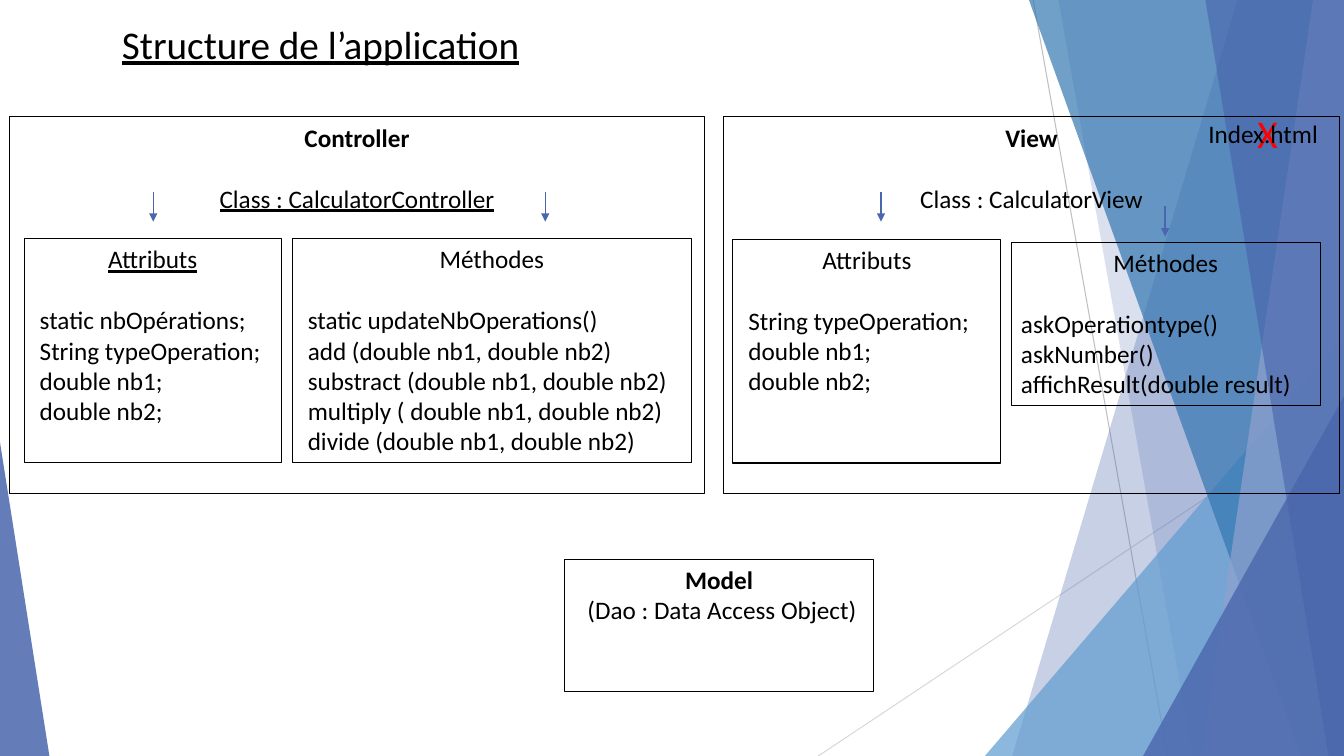
from dataclasses import dataclass
from lxml.etree import SubElement as Sub
from pptx import Presentation
from pptx.dml.color import RGBColor as Color
from pptx.enum.shapes import MSO_CONNECTOR as Link, MSO_SHAPE as Kind
from pptx.enum.text import MSO_ANCHOR as Anchor, MSO_AUTO_SIZE as Auto, PP_ALIGN as Align
from pptx.oxml.ns import qn
from pptx.util import Pt


@dataclass(frozen=True)
class Theme:
    font: str = "Calibri"
    head: int = 28
    body: int = 18
    gap: int = 22
    thin: float = 0.75
    black: str = "000000"
    red: str = "FF0000"
    blue: str = "4A66AC"
    sky: str = "629DD1"
    deep: str = "3477B2"
    pale: str = "90A2CF"
    gray: str = "BFBFBF"
    light: str = "D9D9D9"


T = Theme()
BASE = dict(name=T.font, size=Pt(T.body), bold=False, underline=False)
BOLD = dict(bold=True)
UNDER = dict(underline=True)
GAP = dict(alignment=Align.CENTER, space_after=Pt(T.gap))
MID = dict(alignment=Align.CENTER)
LEFT = dict(alignment=Align.LEFT)


def apply(target, values):
    for key, value in values.items():
        setattr(target, key, value)


def place(box, x, y, w, h):
    return box[0] + x, box[1] + y, w, h


def pts(*values):
    return [Pt(v) for v in values]


def write(frame, lines, color=T.black, side=7.2):
    apply(frame, dict(word_wrap=True, auto_size=Auto.NONE, vertical_anchor=Anchor.TOP,
                      margin_left=Pt(side), margin_right=Pt(side),
                      margin_top=Pt(3.6), margin_bottom=Pt(3.6)))
    for i, (text, look, form, indent) in enumerate(lines):
        para = frame.paragraphs[0] if i == 0 else frame.add_paragraph()
        apply(para, dict(line_spacing=1.0, space_before=Pt(0), space_after=Pt(0)) | form)
        if indent:
            para._p.get_or_add_pPr().set("marL", str(Pt(indent)))
        run = para.add_run()
        run.text = text
        apply(run.font, BASE | look)
        run.font.color.rgb = Color.from_string(color)


def frame_box(shapes, box, lines):
    shape = shapes.add_shape(Kind.RECTANGLE, *pts(*box))
    shape.shadow.inherit = False
    shape.fill.background()
    shape.line.color.rgb = Color.from_string(T.black)
    shape.line.width = Pt(T.thin)
    write(shape.text_frame, lines)


def label(shapes, box, line, color=T.black, side=7.2):
    write(shapes.add_textbox(*pts(*box)).text_frame, [line], color, side)


def draw_line(shapes, start, end, color, width, arrow=False):
    line = shapes.add_connector(Link.STRAIGHT, *pts(*start, *end))
    line.line.color.rgb = Color.from_string(color)
    line.line.width = Pt(width)
    if arrow:
        Sub(line.line._get_or_add_ln(), qn("a:tailEnd"), type="triangle")
    Sub(line.element.spPr, qn("a:effectLst"))


def tint(shape, color, alpha):
    shape.shadow.inherit = False
    shape.fill.solid()
    shape.fill.fore_color.rgb = Color.from_string(color)
    shape.line.fill.background()
    node = shape.element.spPr.find(".//" + qn("a:srgbClr"))
    Sub(node, qn("a:alpha"), val=str(alpha * 1000))


def facets(shapes, box):
    left, top, wide, high = box
    right, base = left + wide, top + high

    def band(up, down, color, alpha):
        pen = shapes.build_freeform(*pts(left + up, top))
        pen.add_line_segments([pts(right, top), pts(right, base), pts(left + down, base)])
        tint(pen.convert_to_shape(), color, alpha)

    def wedge(x, w, h, lean, color, alpha):
        shape = shapes.add_shape(Kind.ISOSCELES_TRIANGLE, *pts(left + x, base - h, w, h))
        shape.adjustments[0] = lean
        tint(shape, color, alpha)

    draw_line(shapes, (left + 738, top), (left + 834, base), T.gray, T.thin)
    draw_line(shapes, (right, top + 290), (left + 584.5, base), T.light, T.thin)
    band(884, 723, T.blue, 30)
    band(756, 852, T.blue, 20)
    wedge(703.5, 256.5, 300, 1, T.sky, 72)
    band(735, 929.5, T.deep, 70)
    band(938, 858, T.pale, 70)
    band(861, 949, T.blue, 65)
    wedge(816.5, 143.5, 257, 1, T.blue, 80)
    wedge(0, 35.3, 224, 0, T.blue, 85)


def card(shapes, box, head, look, rows, indent):
    lines = [(head, look, GAP, 0)] + [(row, {}, LEFT, indent) for row in rows]
    frame_box(shapes, box, lines)


def panel(shapes, box, head, name, look, cards):
    frame_box(shapes, box, [(head, BOLD, GAP, 0), (name, look, MID, 0)])
    for spot, (x, y), *text in cards:
        card(shapes, place(box, *spot), *text)
        ax, ay = box[0] + x, box[1] + y
        draw_line(shapes, (ax, ay), (ax, ay + 21.5), T.blue, 1, True)


def index(shapes, box):
    label(shapes, place(box, 35.4, 0, 28, 41), ("X", dict(size=Pt(T.head)), MID, 0), T.red, 0)
    label(shapes, place(box, 0, 6.5, 127, 29), ("Index.html", {}, LEFT, 0))


def model(shapes, box):
    frame_box(shapes, box, [("Model", BOLD, MID, 0),
                            ("(Dao : Data Access Object)", {}, MID, 4)])


def title(shape, box):
    apply(shape, dict(zip(("left", "top", "width", "height"), pts(*box))))
    look = UNDER | dict(size=Pt(T.head))
    write(shape.text_frame, [("Structure de l’application", look, MID, 0)])


FIELDS = ["String typeOperation;", "double nb1;", "double nb2;"]
MATHS = ["static updateNbOperations()", "add (double nb1, double nb2)",
         "substract (double nb1, double nb2)", "multiply ( double nb1, double nb2)",
         "divide (double nb1, double nb2)"]
ASKS = ["askOperationtype()", "askNumber()", "affichResult(double result)"]
CONTROL = [((202.3, 87, 285, 160), (383, 53.3), "Méthodes", {}, MATHS, 4),
           ((10.8, 87, 183.6, 160), (103, 53.3), "Attributs", UNDER,
            ["static nbOpérations;"] + FIELDS, 4)]
VIEW = [((6.5, 87.3, 191.5, 160), (112.3, 53.3), "Attributs", {}, FIELDS, 4),
        ((205.2, 89.5, 221, 116.5), (315.3, 64), "Méthodes", {}, ASKS, 0)]

deck = Presentation()
apply(deck, dict(slide_width=Pt(960), slide_height=Pt(540)))
slide = deck.slides.add_slide(deck.slide_layouts[5])
parts = slide.shapes
title(parts.title, (67, 10.8, 324, 41))
facets(parts, (0, 0, 960, 540))
panel(parts, (517, 83.5, 439.5, 269), "View", "Class : CalculatorView", {}, VIEW)
index(parts, (856, 74.2, 127, 41))
model(parts, (403.2, 399.6, 221, 94.3))
panel(parts, (6.5, 83.5, 497, 269), "Controller", "Class : CalculatorController", UNDER, CONTROL)
deck.save("out.pptx")
